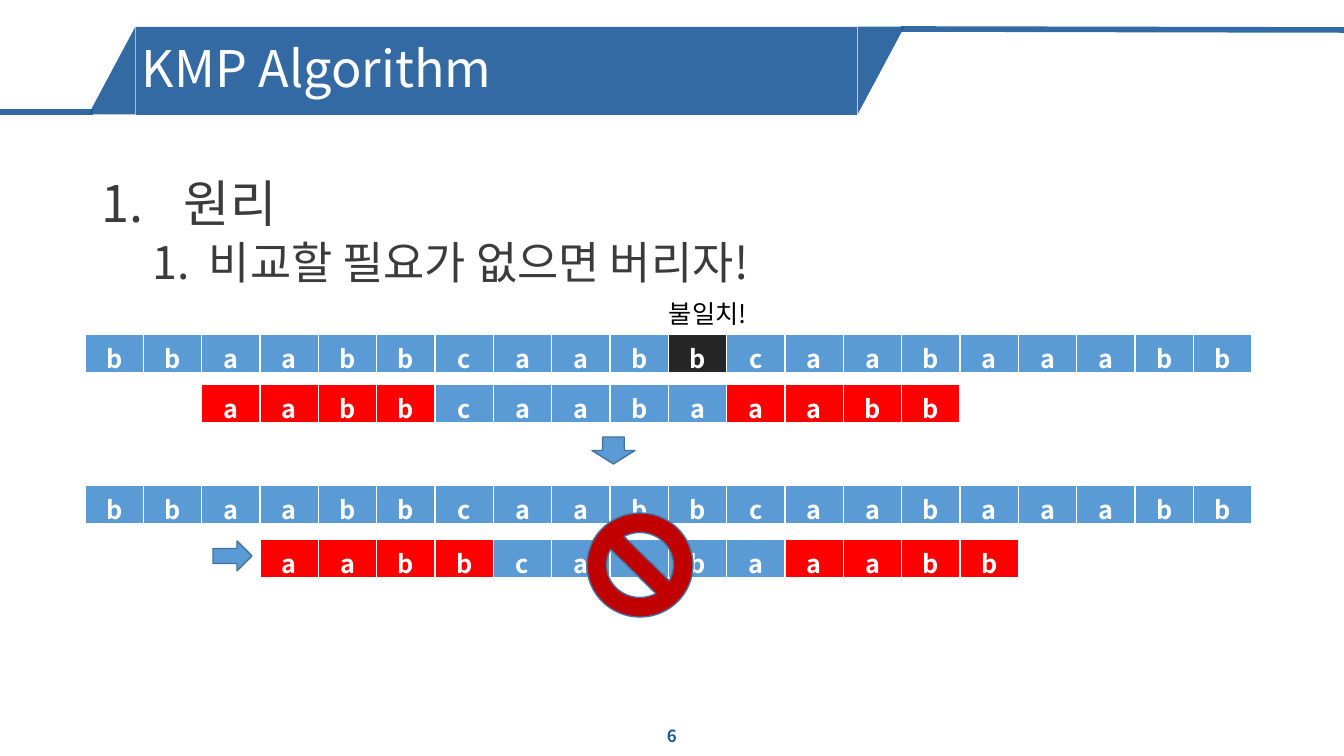
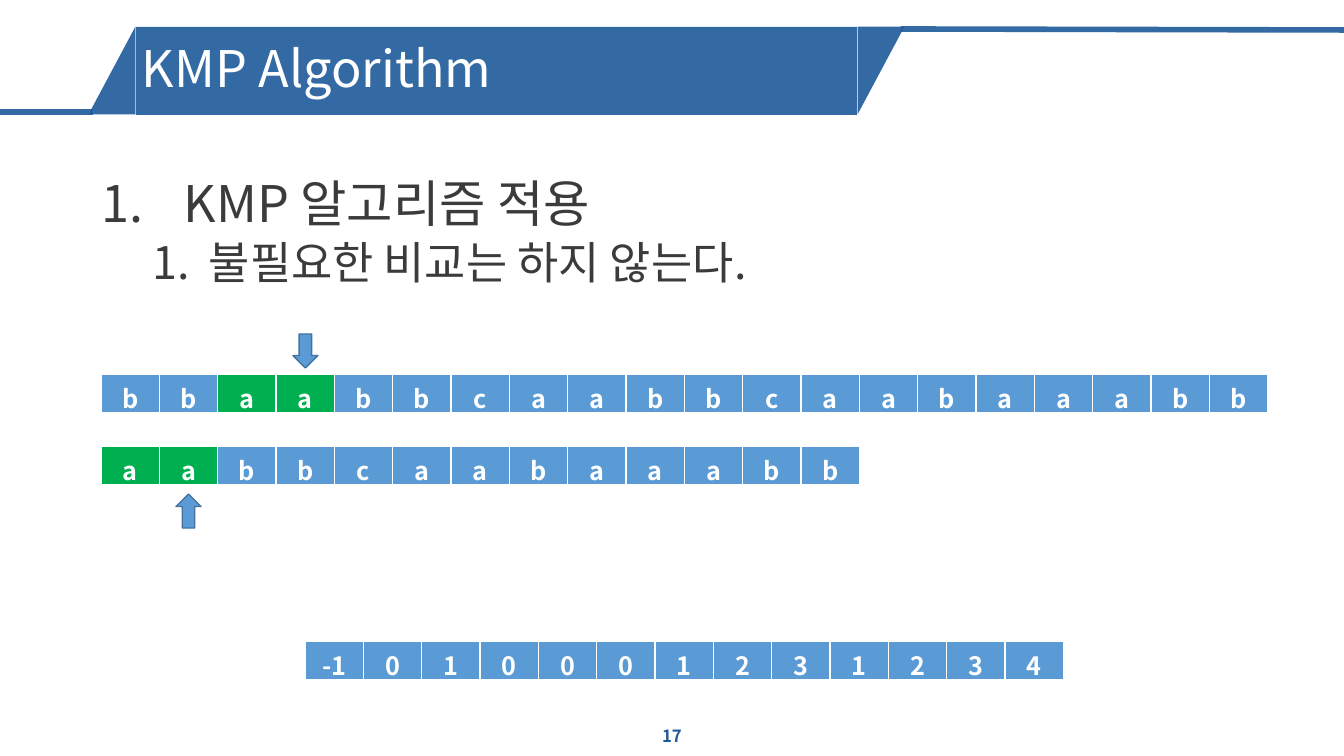
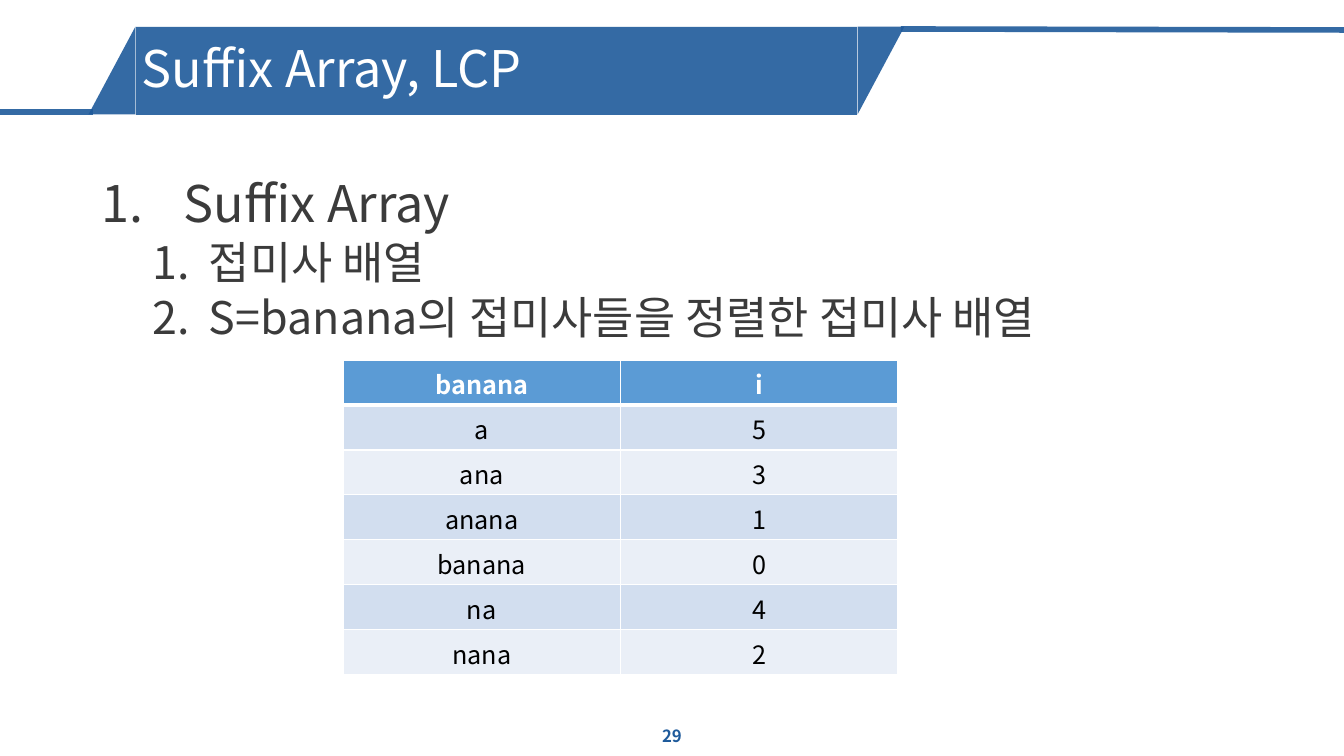
from lxml import etree
from pptx import Presentation
from pptx.dml.color import RGBColor
from pptx.enum.shapes import MSO_CONNECTOR, MSO_SHAPE
from pptx.enum.text import MSO_ANCHOR, PP_ALIGN
from pptx.oxml.ns import qn
from pptx.util import Pt

LINE = MSO_CONNECTOR.STRAIGHT
RECT, WEDGE = MSO_SHAPE.RECTANGLE, MSO_SHAPE.RIGHT_TRIANGLE
DOWN, RIGHT, BAN = MSO_SHAPE.DOWN_ARROW, MSO_SHAPE.RIGHT_ARROW, MSO_SHAPE.NO_SYMBOL
MIDDLE, TOP = MSO_ANCHOR.MIDDLE, MSO_ANCHOR.TOP
CENTER, LEFT = PP_ALIGN.CENTER, PP_ALIGN.LEFT

FONT = "Noto Sans CJK KR"
COLORS = {
    "navy": "1E5A9B", "ink": "3B3B3B", "black": "000000", "white": "FFFFFF",
    "blue": "5B9BD5", "edge": "43739E", "red": "FF0000", "dark": "262626",
    "green": "00B050", "ban": "C00000", "odd": "D2DEEF", "even": "EAEFF7",
}


def px(n):
    return round(n * 914400 / 100.8)


CELL = px(1167) // 20

# Content: outline items are (level, text)
TEXT = list("bbaabbcaabbcaabaaabb")
WORD = list("aabbcaabaaabb")
FAIL = [-1, 0, 1, 0, 0, 0, 1, 2, 3, 1, 2, 3, 4]
ENDS = dict.fromkeys([0, 1, 2, 3, 9, 10, 11, 12], "red")

SKIP = (6, "KMP Algorithm", [(0, "원리"), (1, "비교할 필요가 없으면 버리자!")])
APPLY = (17, "KMP Algorithm", [(0, "KMP 알고리즘 적용"), (1, "불필요한 비교는 하지 않는다.")])
SUFFIX = (29, "Suffix Array, LCP", [
    (0, "Suffix Array"),
    (1, "접미사 배열"),
    (1, "S=banana의 접미사들을 정렬한 접미사 배열"),
])
ORDER = [("banana", "i"), ("a", 5), ("ana", 3), ("anana", 1),
         ("banana", 0), ("na", 4), ("nana", 2)]

# Outline levels: size, left margin, hanging indent, space before
LEVELS = [(36, 82, -82, 10), (32, 107, -56, 5)]


def rgb(name):
    return RGBColor.from_string(COLORS[name])


def style(para, size, color, bold=False, align=LEFT):
    para.alignment = align
    font = para.font
    font.size, font.bold, font.name = Pt(size), bold, FONT
    font.color.rgb = rgb(color)
    props = para._p.pPr.find(qn("a:defRPr"))
    etree.SubElement(props, qn("a:ea"), typeface=FONT)


def frame(slide, x, y, w, h, anchor=TOP, wrap=True):
    box = slide.shapes.add_textbox(px(x), px(y), px(w), px(h)).text_frame
    box.word_wrap, box.vertical_anchor = wrap, anchor
    return box


def fade(part):
    for tint in part._element.spPr.iter(qn("a:srgbClr")):
        etree.SubElement(tint, qn("a:alpha"), val="90000")


def draw(slide, kind, x, y, w, h, fill="blue", edge="edge", turn=0):
    shape = slide.shapes.add_shape(kind, px(x), px(y), px(w), px(h))
    shape.shadow.inherit = False
    shape.rotation = turn
    shape.fill.solid()
    shape.fill.fore_color.rgb = rgb(fill)
    if edge:
        shape.line.color.rgb = rgb(edge)
        shape.line.width = Pt(1)
    else:
        shape.line.fill.background()
    return shape


def rule(slide, *ends):
    line = slide.shapes.add_connector(LINE, *map(px, ends))
    line.line.color.rgb = rgb("navy")
    line.line.width = Pt(4)
    fade(line)
    etree.SubElement(line._element.spPr, qn("a:effectLst"))


def outline(slide, items):
    box = frame(slide, 92, 174, 1153, 501)
    for i, (level, text) in enumerate(items):
        size, margin, hang, gap = LEVELS[level]
        para = box.add_paragraph() if i else box.paragraphs[0]
        para.text, para.level, para.line_spacing = text, level, 0.9
        if i:
            para.space_before = Pt(gap)
        props = para._p.get_or_add_pPr()
        props.set("marL", str(px(margin)))
        props.set("indent", str(px(hang)))
        etree.SubElement(props, qn("a:buAutoNum"), type="arabicPeriod")
        style(para, size, "ink")


def page(deck, number, title, items):
    slide = deck.slides.add_slide(deck.slide_layouts[6])
    # Banner
    fade(draw(slide, WEDGE, 837, 47, 88, 47, "navy", None, 90))
    rule(slide, 93, 112, 0, 112)
    fade(draw(slide, WEDGE, 68, 47, 88, 47, "navy", None, 270))
    rule(slide, 1344, 30, 901, 29)
    fade(draw(slide, RECT, 136, 27, 721, 88, "navy", None))
    # Page number, title and outline
    foot = frame(slide, 521, 716, 302, 40, MIDDLE).paragraphs[0]
    foot.text = str(number)
    style(foot, 12, "navy", True, CENTER)
    head = frame(slide, 132, 30, 721, 82, MIDDLE).paragraphs[0]
    head.text, head.line_spacing = title, 0.9
    style(head, 36, "white")
    outline(slide, items)
    return slide


def border(cell, side, width):
    line = etree.SubElement(cell._tc.get_or_add_tcPr(), qn("a:" + side), w=str(Pt(width)))
    fill = etree.SubElement(line, qn("a:solidFill"))
    etree.SubElement(fill, qn("a:srgbClr"), val=COLORS["white"])


def grid(slide, x, y, col, row, data, paint, tight=False):
    """Table with a bold first row; paint(r, c) names each cell's fill."""
    rows, cols = len(data), len(data[0])
    table = slide.shapes.add_table(rows, cols, x, px(y), col * cols, px(row) * rows).table
    for c in range(cols):
        table.columns[c].width = col
    for r, values in enumerate(data):
        for c, value in enumerate(values):
            cell = table.cell(r, c)
            border(cell, "lnL", 1)
            border(cell, "lnR", 1)
            if r == 0:
                border(cell, "lnT", 1)
            border(cell, "lnB", 1 if r else 3)
            cell.fill.solid()
            cell.fill.fore_color.rgb = rgb(paint(r, c))
            if tight:
                cell.margin_bottom = 0
            para = cell.text_frame.paragraphs[0]
            para.text = str(value)
            style(para, 18, "black" if r else "white", r == 0, CENTER)


def strip(slide, x, y, letters, marks, shift=0, tight=False):
    grid(slide, px(x) + shift * CELL, y, CELL, 40, [letters],
         lambda r, c: marks.get(c, "blue"), tight)


def pointer(slide, x, y, index, turn=0):
    middle = x + (index + 0.5) * 1167 / 20
    draw(slide, DOWN, round(middle - 12.5), y, 25, 34, turn=turn)


def skip_slide(deck):
    slide = page(deck, *SKIP)
    # Mismatch
    strip(slide, 85, 384, WORD, ENDS, shift=2)
    strip(slide, 85, 334, TEXT, {10: "dark"})
    note = frame(slide, 659, 293, 95, 40, wrap=False).paragraphs[0]
    note.text = "불일치!"
    style(note, 18, "black")
    draw(slide, DOWN, 592, 437, 43, 27)
    # Useless shift by one
    strip(slide, 85, 539, WORD, ENDS, shift=3, tight=True)
    strip(slide, 85, 485, TEXT, {}, tight=True)
    draw(slide, RIGHT, 213, 541, 39, 30)
    draw(slide, BAN, 587, 513, 106, 104, "ban")


def apply_slide(deck):
    slide = page(deck, *APPLY)
    strip(slide, 101, 446, WORD, {0: "green", 1: "green"})
    strip(slide, 305, 641, FAIL, {})
    strip(slide, 101, 374, TEXT, {2: "green", 3: "green"})
    pointer(slide, 101, 334, 3)
    pointer(slide, 101, 494, 1, 180)


def suffix_slide(deck):
    slide = page(deck, *SUFFIX)
    grid(slide, px(343), 360, px(555) // 2, 45, ORDER,
         lambda r, c: ("odd" if r % 2 else "even") if r else "blue")


def main():
    deck = Presentation()
    deck.slide_width, deck.slide_height = px(1344), px(756)
    skip_slide(deck)
    apply_slide(deck)
    suffix_slide(deck)
    deck.save("out.pptx")


if __name__ == "__main__":
    main()
